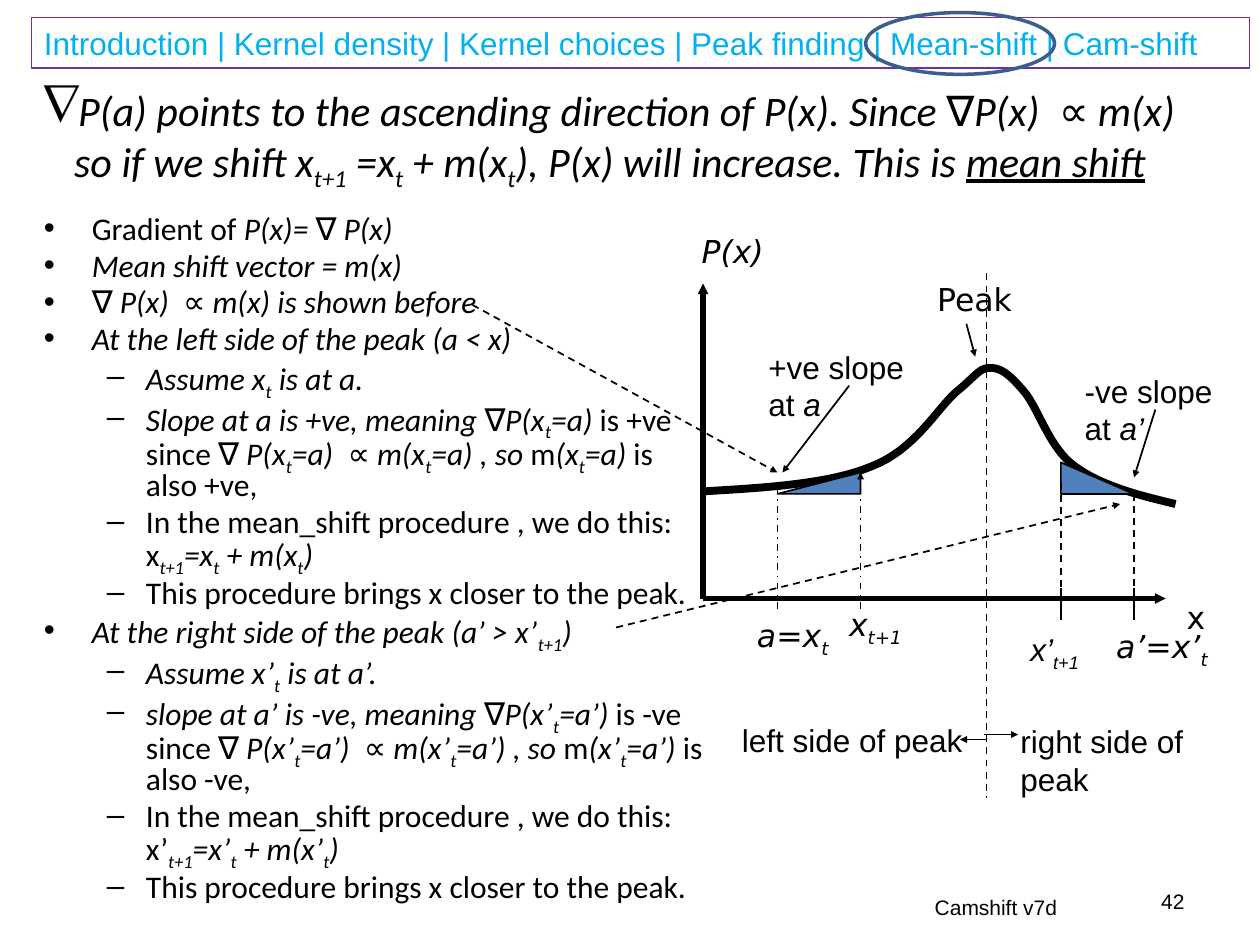
import dataclasses

import pptx
import pptx.dml.color
import pptx.enum.dml
import pptx.enum.shapes
import pptx.enum.text
import pptx.oxml.ns
import pptx.util
from lxml import etree

Inches, Pt = pptx.util.Inches, pptx.util.Pt
SHAPE = pptx.enum.shapes.MSO_SHAPE
ALIGN = pptx.enum.text.PP_ALIGN
ANCHOR = pptx.enum.text.MSO_ANCHOR
DASH = pptx.enum.dml.MSO_LINE
qn = pptx.oxml.ns.qn


@dataclasses.dataclass(frozen=True)
class Theme:
    black: str = "000000"
    nav_text: str = "00B0F0"
    nav_border: str = "7030A0"
    highlight: str = "3A5F8C"
    slope_fill: str = "4F81BD"
    sans: str = "Arial"
    body_font: str = "Calibri"
    math_font: str = "DejaVu Sans"
    title_size: int = 24
    text_size: int = 18
    footer_size: int = 12


T = Theme()

# Markup: *italic*, [subscript], ~underline~
TITLE = ("*P(a) points to the ascending direction of P(x). Since ∇P(x)  ∝ m(x) so if we "
         "shift x[t+1] =x[t] + m(x[t]), P(x) will increase. This is ~mean shift~*")
CLOSER = "This procedure brings x closer to the peak."


def side_of_peak(heading, first, slope, mark, sign):
    """Outline rows for one side of the peak; mark is the prime sign, if any."""
    a, x = "a" + mark, "x" + mark
    return [
        (0, heading),
        (1, f"*Assume {x}[t] is at {a}.*"),
        (1, f"*{first} at {a} is {sign}, meaning ∇P({x}[t]={a})* is {sign} since "
            f"*∇ P({x}[t]={a})  ∝ m({x}[t]={a}) , so *m*({x}[t]={a})* is also {sign},"
            if slope else ""),
        (1, f"In the mean_shift procedure , we do this: {x}*[t+1]={x}[t] + m({x}[t])*"),
        (1, CLOSER),
    ]


OUTLINE = [
    (0, "Gradient of *P(x)= ∇ P(x)*"),
    (0, "*Mean shift vector = m(x)*"),
    (0, "*∇ P(x)  ∝ m(x) is shown before*"),
    *side_of_peak("*At the left side of the peak (a < x)*", "Slope", True, "", "+ve"),
    *side_of_peak("*At the right side of the peak (a’ > x’[t+1])*", "slope", True, "’", "-ve"),
]


def rgb(color):
    return pptx.dml.color.RGBColor.from_string(color)


def add_runs(p, markup):
    """Split the markup into runs wherever the style changes."""
    state = {"*": False, "~": False, "[": False}
    text = ""

    def flush():
        if text:
            r = p.add_run()
            r.text = text
            if state["*"]:
                r.font.italic = True
            if state["~"]:
                r.font.underline = True
            if state["["]:
                r.font._element.set("baseline", "-25000")

    for ch in markup:
        if ch in "*~[]":
            flush()
            text = ""
            key = "[" if ch == "]" else ch
            state[key] = not state[key]
        else:
            text += ch
    flush()


def write(p, markup, font, size, color=T.black, align=ALIGN.LEFT):
    p.alignment = align
    p.font.name, p.font.size = font, Pt(size)
    p.font.color.rgb = rgb(color)
    add_runs(p, markup)


def set_bullet(p, char, left, hang, font=None):
    pPr = p._p.get_or_add_pPr()
    pPr.set("marL", str(Inches(left)))
    pPr.set("indent", str(-Inches(hang)))
    bullet = etree.Element(qn("a:buChar"), char=char)
    items = [bullet]
    if font:
        items.insert(0, etree.Element(qn("a:buFont"), typeface=font))
    defaults = pPr.find(qn("a:defRPr"))
    for item in items:
        defaults.addprevious(item)


def add_box(s, x, y, w, h, wrap=True, anchor=ANCHOR.TOP):
    tf = s.shapes.add_textbox(Inches(x), Inches(y), Inches(w), Inches(h)).text_frame
    tf.word_wrap = wrap
    tf.vertical_anchor = anchor
    return tf


def add_label(s, x, y, w, markup, font=T.sans, size=T.text_size, h=0.4, wrap=True,
              align=ALIGN.LEFT, anchor=ANCHOR.TOP):
    tf = add_box(s, x, y, w, h, wrap, anchor)
    write(tf.paragraphs[0], markup, font, size, align=align)


def style_shape(sp, line, width, fill=None):
    sp.shadow.inherit = False
    if fill:
        sp.fill.solid()
        sp.fill.fore_color.rgb = rgb(fill)
    else:
        sp.fill.background()
    sp.line.color.rgb, sp.line.width = rgb(line), Pt(width)


def add_preset(s, kind, x, y, w, h, line, width):
    sp = s.shapes.add_shape(kind, Inches(x), Inches(y), Inches(w), Inches(h))
    style_shape(sp, line, width)
    return sp


def add_line(s, x1, y1, x2, y2, width=1, dash=None, arrow=False):
    sp = s.shapes.add_connector(pptx.enum.shapes.MSO_CONNECTOR.STRAIGHT,
                                Inches(x1), Inches(y1), Inches(x2), Inches(y2))
    sp.line.color.rgb, sp.line.width = rgb(T.black), Pt(width)
    if dash:
        sp.line.dash_style = dash
    if arrow:
        etree.SubElement(sp.line._get_or_add_ln(), qn("a:tailEnd"),
                         type="triangle", w="sm", len="sm")
    etree.SubElement(sp._element.spPr, qn("a:effectLst"))


def add_outline(s, points, width, fill=None, close=False):
    emu = [(Inches(x), Inches(y)) for x, y in points]
    builder = s.shapes.build_freeform(*emu[0])
    builder.add_line_segments(emu[1:], close=close)
    style_shape(builder.convert_to_shape(), T.black, width, fill)


def bezier_points(knots, steps=16):
    """Sample a chain of cubic curves: start, then two controls and an end each."""
    points = [knots[0]]
    for i in range(0, len(knots) - 1, 3):
        for n in range(1, steps + 1):
            t = n / steps
            weights = ((1 - t) ** 3, 3 * t * (1 - t) ** 2, 3 * t * t * (1 - t), t ** 3)
            points.append(tuple(sum(w * k[axis] for w, k in zip(weights, knots[i:i + 4]))
                                for axis in (0, 1)))
    return points


def add_text_blocks(s):
    # Navigation bar
    tf = add_preset(s, SHAPE.RECTANGLE, 0.25, 0.14, 9.67, 0.4, T.nav_border, 0.75).text_frame
    tf.word_wrap, tf.vertical_anchor = True, ANCHOR.TOP
    write(tf.paragraphs[0], "Introduction | Kernel density | Kernel choices | Peak finding | "
          "Mean-shift | Cam-shift", T.sans, T.text_size, T.nav_text)
    # Title
    p = add_box(s, 0.25, 0.67, 9.5, 0.86, anchor=ANCHOR.MIDDLE).paragraphs[0]
    write(p, TITLE, T.body_font, T.title_size)
    set_bullet(p, "∇", 0.24, 0.24)
    # Outline
    tf = add_box(s, 0.25, 1.67, 5.45, 4.82)
    for i, (level, markup) in enumerate(OUTLINE):
        p = tf.add_paragraph() if i else tf.paragraphs[0]
        write(p, markup, T.body_font, T.text_size)
        p.level, p.line_spacing, p.space_before = level, 0.8, Pt(3.6)
        set_bullet(p, *(("•", 0.38, 0.38), ("–", 0.81, 0.31))[level], font=T.sans)
    # Footer
    for x, y, w, text, align in ((6.32, 7, 3.17, "Camshift v7d", ALIGN.CENTER),
                                 (7.17, 6.95, 2.33, "42", ALIGN.RIGHT)):
        add_label(s, x, y, w, text, size=T.footer_size, align=align, anchor=ANCHOR.MIDDLE)


def add_graph(s):
    # Density curve and slope triangles
    curve = [(5.58, 3.9), (6.09, 3.87), (6.59, 3.84), (6.92, 3.7), (7.26, 3.57), (7.44, 3.24),
             (7.59, 3.11), (7.75, 2.98), (7.77, 2.92), (7.86, 2.92), (7.95, 2.92), (8.02, 2.98),
             (8.13, 3.11), (8.24, 3.24), (8.33, 3.56), (8.53, 3.7), (8.73, 3.85), (9.03, 3.93),
             (9.33, 4)]
    add_outline(s, bezier_points(curve), 4.5)
    add_outline(s, [(6.17, 3.92), (6.83, 3.92), (6.83, 3.75)], 1, T.slope_fill, close=True)
    add_outline(s, [(9, 3.92), (8.42, 3.67), (8.42, 3.92), (9.08, 3.92)], 1, T.slope_fill)
    # Axes
    for end in ((9.25, 4.75), (5.58, 2.25)):
        add_line(s, 5.58, 4.75, *end, width=3, arrow=True)
    # Drop lines, ticks and the peak divider
    for x, top in ((6.17, 3.83), (6.83, 3.75)):
        add_line(s, x, 4.83, x, top, dash=DASH.DASH_DOT, arrow=True)
    for x, top, bottom in ((8.42, 3.83, 4.75), (9, 3.92, 4.83)):
        add_line(s, x, top, x, bottom, dash=DASH.DASH)
        add_line(s, x, 4.67, x, 4.92)
    add_line(s, 7.83, 2.17, 7.83, 6.33, dash=DASH.DASH)
    # Pointers
    for ends in ((7.67, 2.57, 7.74, 2.83), (7.83, 5.87, 7.62, 5.87), (7.81, 5.83, 8.08, 5.83),
                 (6.74, 3.06, 6.21, 3.75), (9.17, 3.25, 9, 3.79)):
        add_line(s, *ends, arrow=True)
    for ends in ((3.75, 2.42, 6.17, 3.75), (4.89, 4.98, 8.89, 4)):
        add_line(s, *ends, dash=DASH.DASH, arrow=True)
    # Labels
    for x, y, w, markup, wrap in ((7.34, 2.17, 0.8, "Peak", False), (9.32, 4.7, 0.35, "x", False),
                                  (5.47, 1.79, 0.73, "*P(x)*", False),
                                  (5.91, 4.84, 0.84, "*a=x[t]*", True),
                                  (6.64, 4.75, 1, "*x[t+1]*", True),
                                  (8.76, 4.93, 1.18, "*a’=x’[t]*", True)):
        add_label(s, x, y, w, markup, T.math_font, wrap=wrap)
    add_label(s, 8.08, 4.95, 0.67, "*x’[t+1]*")
    add_label(s, 5.79, 5.67, 1.95, "left side of peak", wrap=False)
    add_label(s, 8, 5.68, 2.1, "right side of peak", wrap=False)
    add_label(s, 6, 2.71, 1.33, "+ve slope at *a*", h=0.71)
    add_label(s, 8.51, 2.9, 1.33, "-ve slope at *a’*", h=0.71)


def main():
    prs = pptx.Presentation()
    prs.slide_width, prs.slide_height = Inches(10), Inches(7.5)
    s = prs.slides.add_slide(prs.slide_layouts[6])
    add_text_blocks(s)
    add_graph(s)
    # Current section marker
    add_preset(s, SHAPE.OVAL, 6.87, 0.1, 1.5, 0.49, T.highlight, 2)
    prs.save("out.pptx")


if __name__ == "__main__":
    main()
